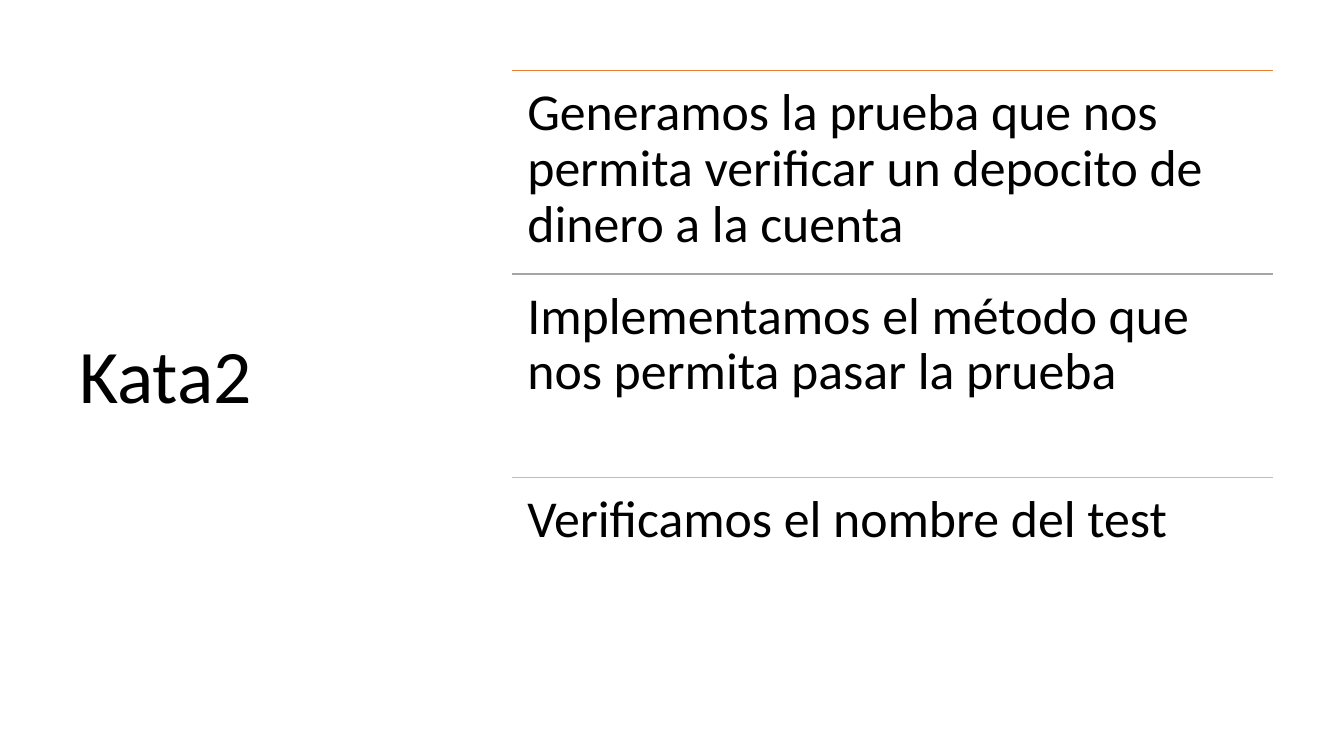
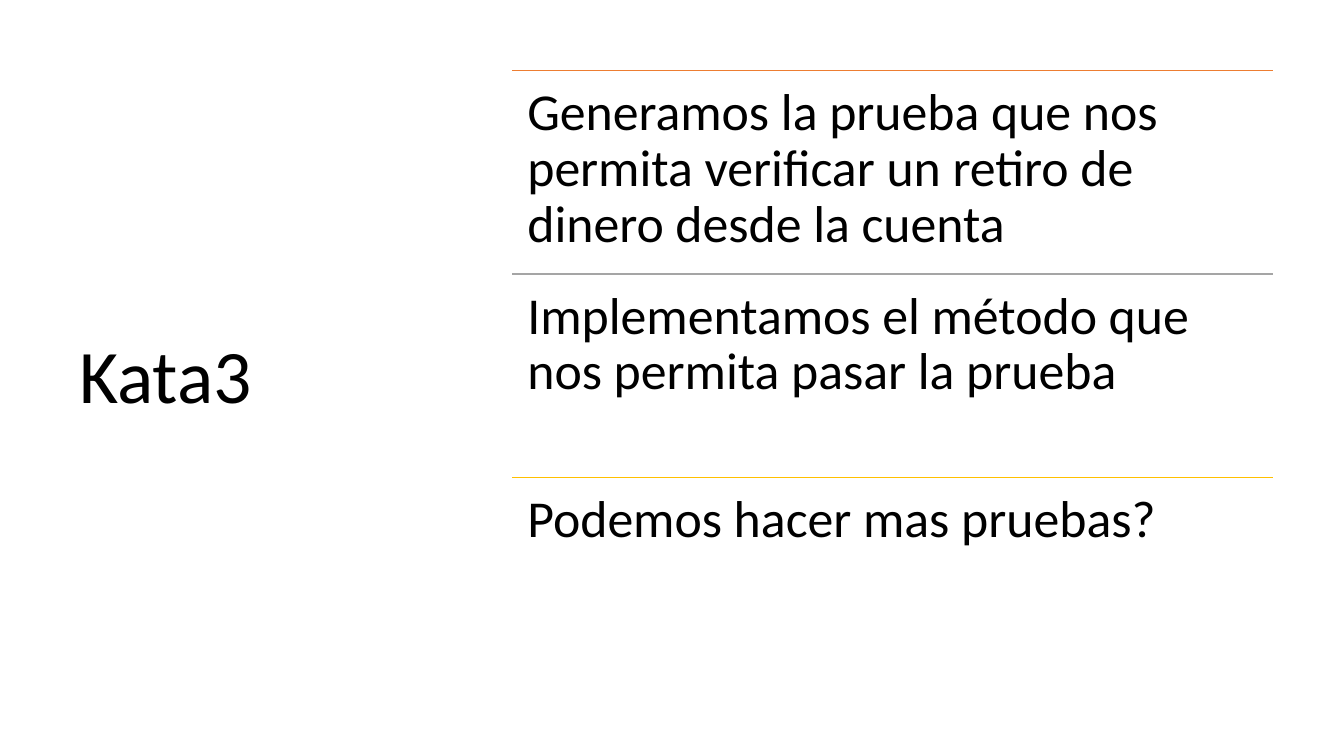
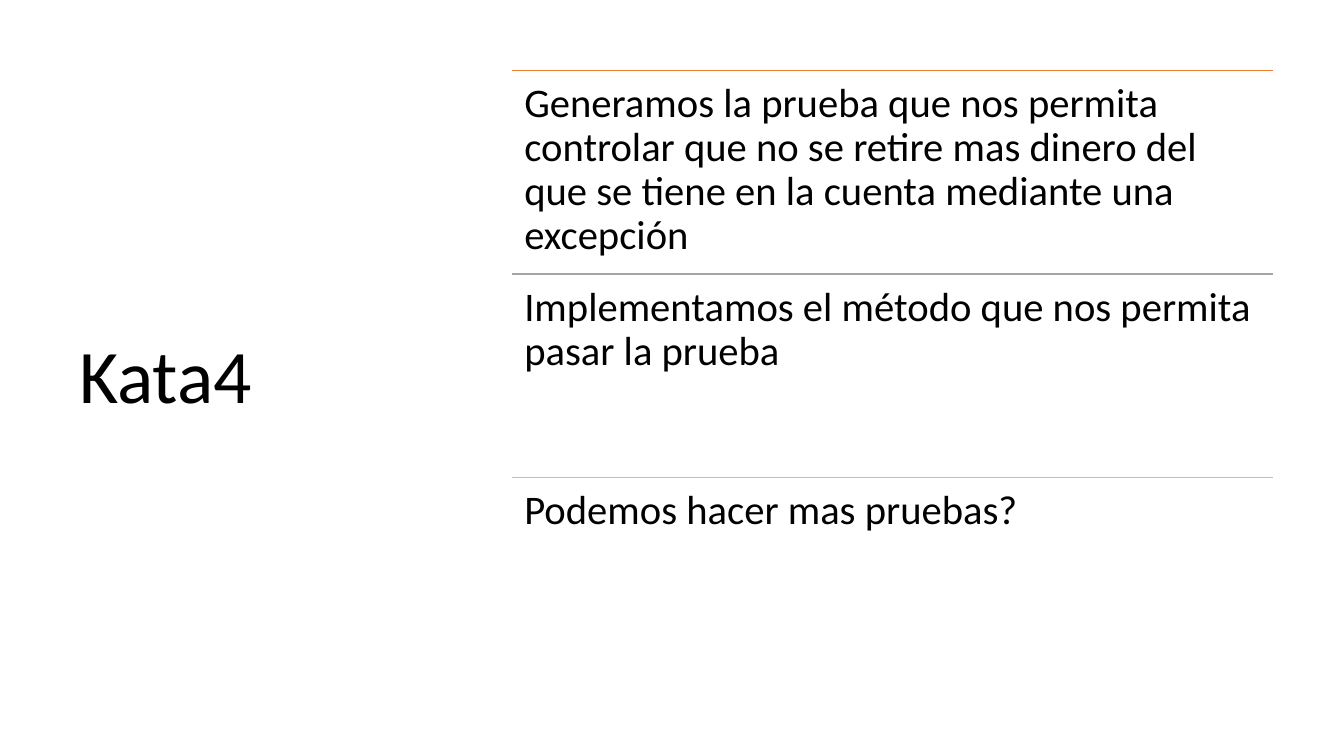
"""Build three kata slides, each a title beside three ruled steps."""
from pptx import Presentation
from pptx.dml.color import RGBColor
from pptx.enum.shapes import MSO_CONNECTOR
from pptx.enum.text import MSO_ANCHOR
from pptx.oxml.ns import qn
from pptx.util import Inches, Pt
from lxml.etree import SubElement

METHOD = "Implementamos el método que nos permita pasar la prueba"
MORE = "Podemos hacer mas pruebas?"
KATAS = [
    ("Kata2", 37, 0.15, [
        "Generamos la prueba que nos permita verificar un depocito de dinero a la cuenta",
        METHOD, "Verificamos el nombre del test"]),
    ("Kata3", 37, 0.15, [
        "Generamos la prueba que nos permita verificar un retiro de dinero desde la cuenta",
        METHOD, MORE]),
    ("Kata4", 29, 0.12, [
        "Generamos la prueba que nos permita controlar que no se retire mas dinero "
        "del que se tiene en la cuenta mediante una excepción",
        METHOD, MORE]),
]
RULES = ["ED7D31", "A5A5A5", "FFC000"]
FONT, INK = "Calibri", "000000"
LEFT, TOP, WIDTH, STEP = 5.08, 0.7, 7.55, 2.02
TITLE = (0.69, TOP, 3.74, 6.11)


def color(code):
    return RGBColor.from_string(code)


def style(item, look):
    for name, value in look.items():
        setattr(item, name, value)


def write(slide, box, text, size, frame):
    body = slide.shapes.add_textbox(*map(Inches, box)).text_frame
    style(body, {"word_wrap": True, **frame})
    para = body.paragraphs[0]
    para.line_spacing = 0.9
    run = para.add_run()
    run.text = text
    style(run.font, {"name": FONT, "size": Pt(size)})
    run.font.color.rgb = color(INK)


def rule(slide, y, code):
    ends = map(Inches, (LEFT, y, LEFT + WIDTH, y))
    line = slide.shapes.add_connector(MSO_CONNECTOR.STRAIGHT, *ends)
    line.line.color.rgb = color(code)
    line.line.width = Pt(1)
    SubElement(line._element.spPr, qn("a:effectLst"))


deck = Presentation()
style(deck, {"slide_width": Inches(13.33), "slide_height": Inches(7.5)})
for title, size, inset, steps in KATAS:
    slide = deck.slides.add_slide(deck.slide_layouts[6])
    write(slide, TITLE, title, 54, {"vertical_anchor": MSO_ANCHOR.MIDDLE})
    frame = {f"margin_{side}": Inches(inset)
             for side in ("left", "top", "right", "bottom")}
    for row, (text, code) in enumerate(zip(steps, RULES)):
        y = TOP + row * STEP
        rule(slide, y, code)
        write(slide, (LEFT, y, WIDTH, STEP), text, size, frame)
deck.save("out.pptx")
